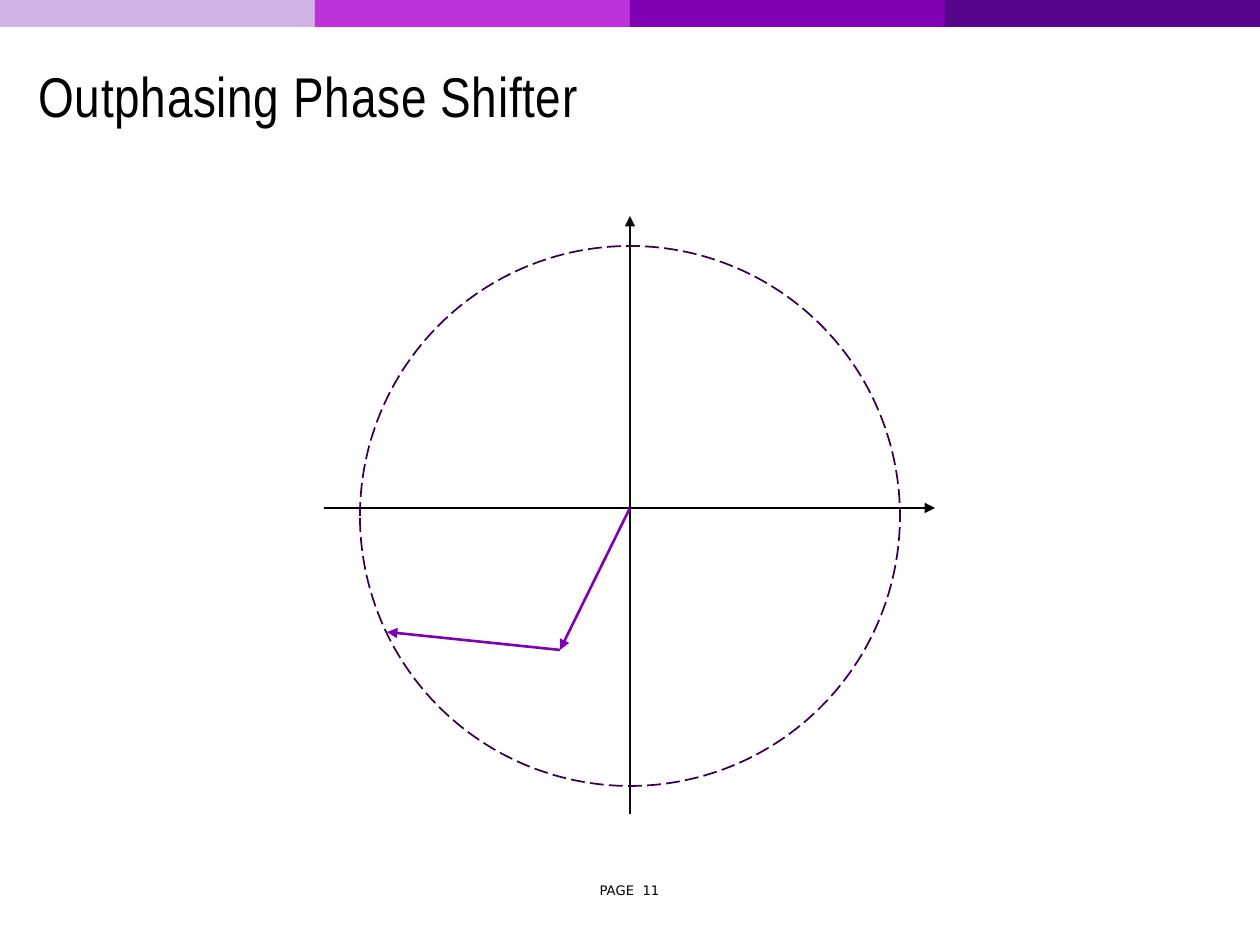
from pptx import Presentation
from pptx import util as u
from pptx.dml.color import RGBColor
from pptx.enum import dml, shapes, text
from pptx.oxml.ns import qn
from lxml import etree

PX = 914400 // 126  # EMU in one px
WIDE, HIGH = 1260, 945


def px(*nums):
    return [u.Emu(n * PX) for n in nums]


def tint(code):
    return RGBColor.from_string(code)


def write(box, words, size, face, align, color="000000", gap=None, space=None):
    frame = box.text_frame
    frame.word_wrap = True
    frame.auto_size = text.MSO_AUTO_SIZE.NONE
    frame.vertical_anchor = text.MSO_ANCHOR.MIDDLE
    para = frame.paragraphs[0]
    para.alignment = align
    if gap:
        para.line_spacing = gap
    run = para.add_run()
    run.text = words
    font = run.font
    font.size, font.name = u.Pt(size), face
    font.color.rgb = tint(color)
    if space:  # letter spacing in hundredths of a point
        run._r.get_or_add_rPr().set("spc", str(space))


def shape(slide, kind, place, fill=None, line=None):
    item = slide.shapes.add_shape(kind, *px(*place))
    item.shadow.inherit = False
    if fill:
        item.fill.solid()
        item.fill.fore_color.rgb = tint(fill)
    else:
        item.fill.background()
    if line:
        item.line.color.rgb = tint(line)
    else:
        item.line.fill.background()
    return item


def arrow(slide, start, end, color):
    item = slide.shapes.add_connector(
        shapes.MSO_CONNECTOR.STRAIGHT, *px(*start, *end))
    item.line.color.rgb = tint(color)
    item.line.width = u.Pt(1.5)
    etree.SubElement(item.line._get_or_add_ln(), qn("a:tailEnd"), type="triangle")
    etree.SubElement(item._element.spPr, qn("a:effectLst"))


def main():
    deck = Presentation()
    deck.slide_width, deck.slide_height = px(WIDE, HIGH)
    slide = deck.slides.add_slide(deck.slide_layouts[5])

    # Colour band along the top
    band = ["CFB3E6", "BD33DA", "8000B3", "57058A"]
    step = WIDE // len(band)
    for i, color in enumerate(band):
        shape(slide, shapes.MSO_SHAPE.RECTANGLE, (i * step, 0, step, 27), fill=color)

    # Page number and title
    page = slide.shapes.add_textbox(*px(577, 873, 105, 34))
    write(page, "PAGE  11", 7.5, "DejaVu Sans", text.PP_ALIGN.CENTER)
    title = slide.shapes.title
    title.left, title.top, title.width, title.height = px(26, 39, 1196, 123)
    write(title, "Outphasing Phase Shifter", 32, "Arial Narrow",
          text.PP_ALIGN.LEFT, gap=0.85, space=40)

    # Axes
    mid = (630, 508)
    arrow(slide, (324, mid[1]), (935, mid[1]), "000000")
    arrow(slide, (mid[0], 814), (mid[0], 216), "0C0C0C")

    # Two vectors, head to tail
    joint = (560, 650)
    arrow(slide, mid, joint, "8000B3")
    arrow(slide, joint, (387, 632), "8000B3")

    # Dashed circle
    ring = shape(slide, shapes.MSO_SHAPE.OVAL, (360, 246, 540, 540), line="38004E")
    ring.line.width = u.Pt(1)
    ring.line.dash_style = dml.MSO_LINE.LONG_DASH

    deck.save("out.pptx")


if __name__ == "__main__":
    main()
